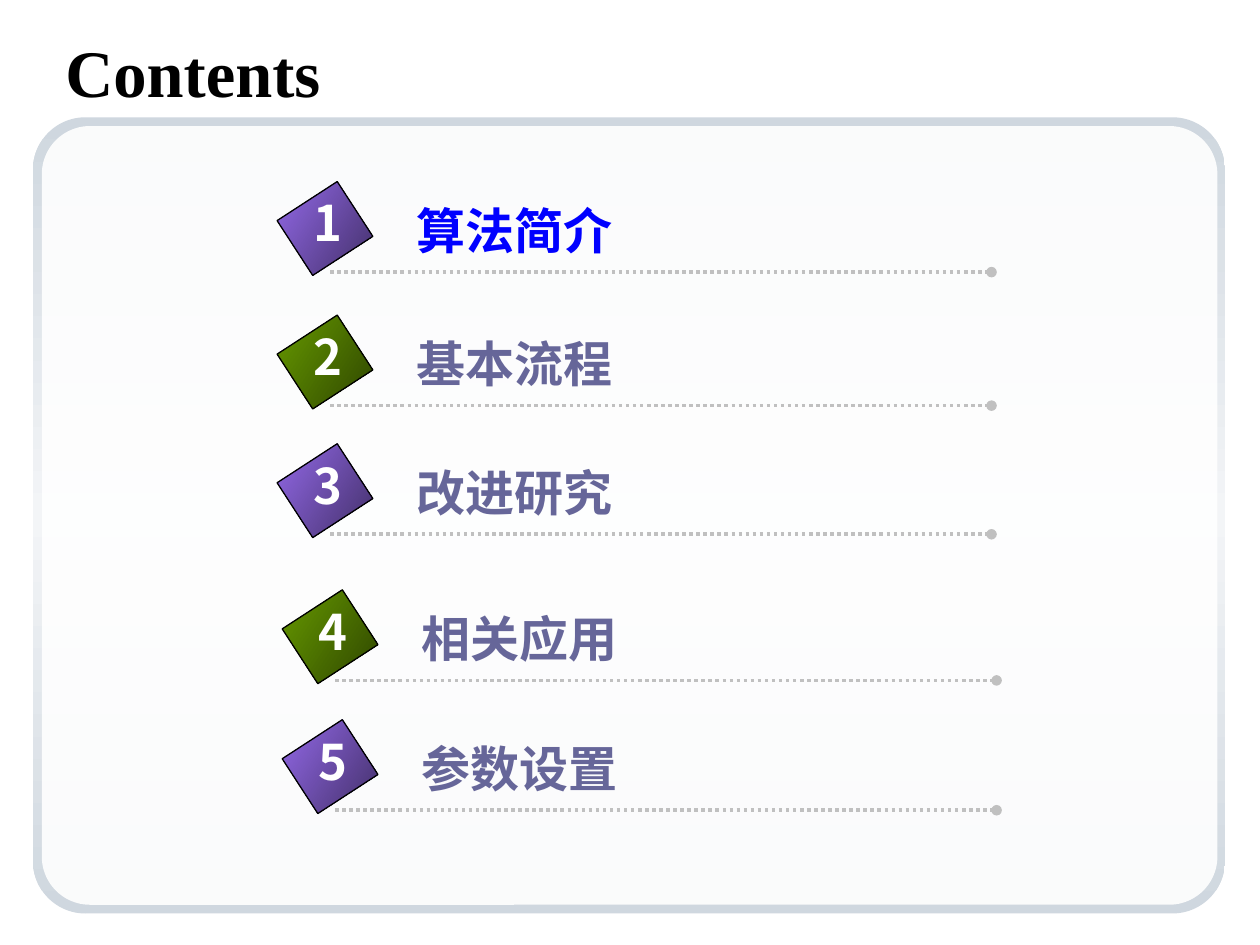
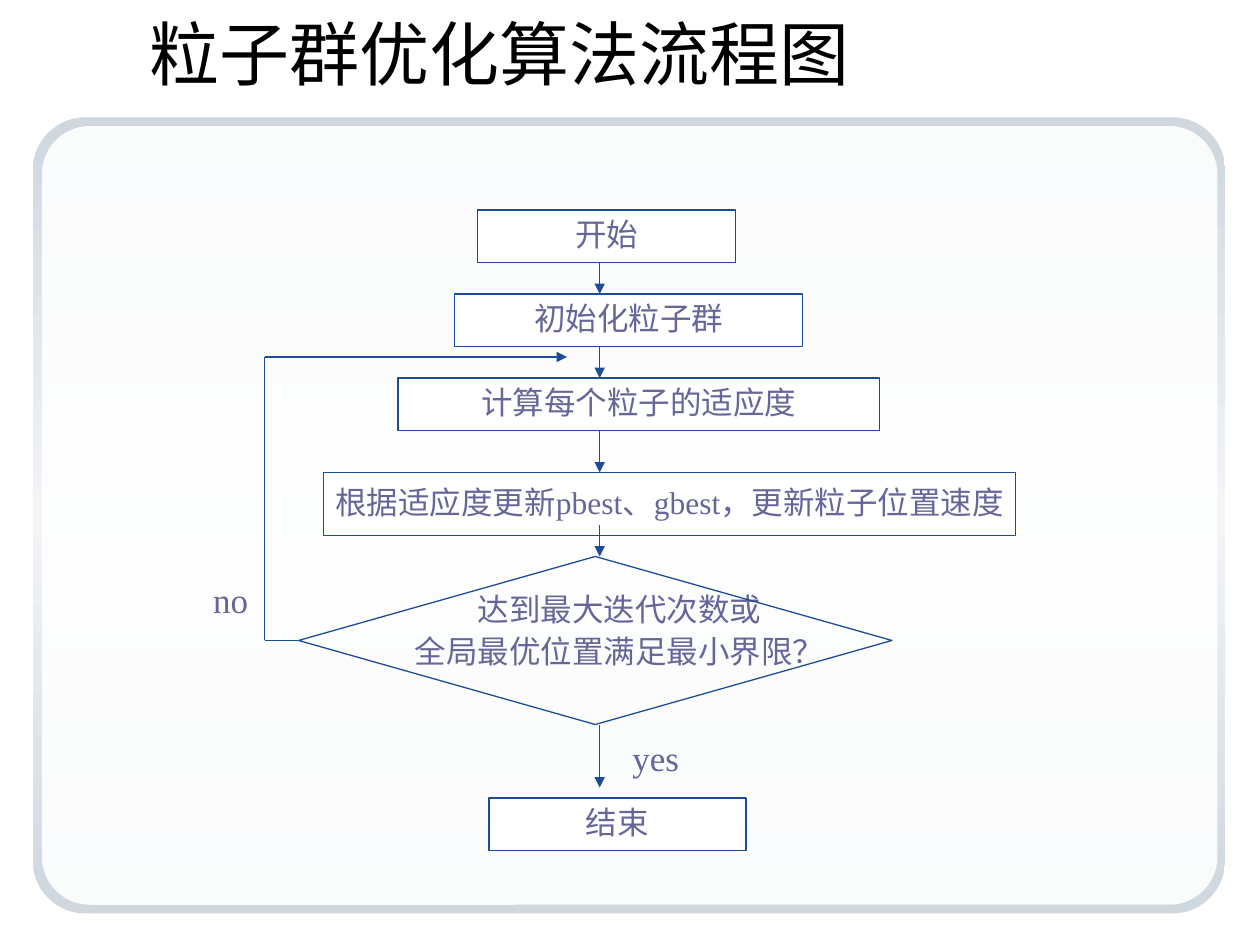
from dataclasses import dataclass

from lxml.etree import SubElement
from pptx import Presentation
from pptx.dml.color import RGBColor
from pptx.enum.dml import MSO_LINE
from pptx.enum.shapes import MSO_CONNECTOR, MSO_SHAPE
from pptx.enum.text import MSO_ANCHOR, MSO_AUTO_SIZE, PP_ALIGN
from pptx.oxml import parse_xml
from pptx.oxml.ns import nsdecls, qn
from pptx.util import Pt


@dataclass(frozen=True)
class Theme:
    black: str = "000000"
    white: str = "FFFFFF"
    slate: str = "666699"
    current: str = "0000FF"
    flow_line: str = "1C4D94"
    dots: str = "C0C0C0"
    frame: tuple = ("CFD7DF", "F3F5F7", "CFD7DF")
    purple: tuple = ("9369E7", "43306A")
    green: tuple = ("669900", "2F4600")
    serif: str = "Times New Roman"
    sans: str = "Arial"
    chinese: str = "Noto Sans CJK SC"
    contents_title: int = 38
    chart_title: int = 40
    entry: int = 28
    step: int = 18
    answer: int = 20
    thin: float = 0.75
    dotted: float = 2


THEME = Theme()

CONTENTS = [
    (188.6, 155.5, "算法简介"),
    (188.6, 231.8, "基本流程"),
    (188.6, 305.3, "改进研究"),
    (191.5, 388.8, "相关应用"),
    (191.5, 463, "参数设置"),
]

STEPS = [
    ("开始", 272.9, 120, 147.6, 30),
    ("初始化粒子群", 259.9, 168, 198.7, 30),
    ("计算每个粒子的适应度", 227.5, 216, 275, 30),
    ("根据适应度更新pbest、gbest，更新粒子位置速度", 185, 270, 395.3, 36),
    ("结束", 279.4, 456, 146.9, 30),
]

AXIS = 342.7
ARROWS = [(150, 168), (198, 216), (246, 270), (300, 318), (414, 450)]


def color(value):
    return RGBColor.from_string(value)


def points(*lengths):
    return [Pt(length) for length in lengths]


def add_text(paragraph, text, size, tone, font, bold=False):
    run = paragraph.add_run()
    run.text = text
    run.font.size = Pt(size)
    run.font.bold = bold
    run.font.color.rgb = color(tone)
    run.font.name = font
    SubElement(run.font._element, qn("a:ea"), typeface=THEME.chinese)


def add_preset(slide, preset, box, fill=None, line=None):
    shape = slide.shapes.add_shape(preset, *points(*box))
    shape.shadow.inherit = False
    if fill:
        shape.fill.solid()
        shape.fill.fore_color.rgb = color(fill)
    else:
        shape.fill.background()
    if line:
        shape.line.color.rgb = color(line)
        shape.line.width = Pt(THEME.thin)
    else:
        shape.line.fill.background()
    return shape


def fill_gradient(shape, tones, angle):
    step = 100000 // (len(tones) - 1)
    stops = "".join(
        f'<a:gs pos="{index * step}"><a:srgbClr val="{tone}"/></a:gs>'
        for index, tone in enumerate(tones)
    )
    gradient = parse_xml(
        f'<a:gradFill {nsdecls("a")} rotWithShape="0"><a:gsLst>{stops}</a:gsLst>'
        f'<a:lin ang="{angle * 60000}" scaled="0"/></a:gradFill>'
    )
    properties = shape.element.spPr
    properties.replace(properties.find(qn("a:noFill")), gradient)


def add_line(slide, start, end, tone, width=THEME.thin, tail=None):
    connector = slide.shapes.add_connector(
        MSO_CONNECTOR.STRAIGHT, *points(*start, *end)
    )
    connector.line.color.rgb = color(tone)
    connector.line.width = Pt(width)
    if tail:
        SubElement(connector.line._get_or_add_ln(), qn("a:tailEnd"), type=tail)
    SubElement(connector.element.spPr, qn("a:effectLst"))
    return connector


def add_label(slide, box, lines, size, tone, font, bold=False,
              alignment=PP_ALIGN.CENTER, spacing=0.9, wrap=False):
    frame = slide.shapes.add_textbox(*points(*box)).text_frame
    frame.word_wrap = wrap
    frame.auto_size = MSO_AUTO_SIZE.SHAPE_TO_FIT_TEXT
    for index, line in enumerate(lines):
        paragraph = frame.add_paragraph() if index else frame.paragraphs[0]
        paragraph.alignment = alignment
        paragraph.line_spacing = spacing
        if index:
            paragraph.space_before = Pt(4.5)
        add_text(paragraph, line, size, tone, font, bold)


def set_title(slide, text, box, size, font, bold=False):
    title = slide.shapes.title
    title.left, title.top, title.width, title.height = points(*box)
    frame = title.text_frame
    frame.auto_size = MSO_AUTO_SIZE.NONE
    frame.vertical_anchor = MSO_ANCHOR.MIDDLE
    paragraph = frame.paragraphs[0]
    paragraph.alignment = PP_ALIGN.LEFT
    add_text(paragraph, text, size, THEME.black, font, bold)


def add_panel_to_layout(slide):
    frame = add_preset(slide, MSO_SHAPE.ROUNDED_RECTANGLE, (18.8, 67, 681.2, 455))
    frame.adjustments[0] = 0.066
    fill_gradient(frame, THEME.frame, 90)
    panel = add_preset(
        slide, MSO_SHAPE.ROUNDED_RECTANGLE, (23.9, 72, 671.8, 445), THEME.white
    )
    panel.adjustments[0] = 0.062
    tone = panel.element.spPr.find(qn("a:solidFill"))[0]
    SubElement(tone, qn("a:alpha"), val="90000")
    for shape in (frame, panel):
        slide.slide_layout.shapes.element.append(shape.element)


def add_entry(slide, number, left, baseline, text):
    rule = add_line(slide, (left, baseline), (left + 378, baseline),
                    THEME.dots, THEME.dotted, "oval")
    rule.line.dash_style = MSO_LINE.ROUND_DOT
    tile = add_preset(slide, MSO_SHAPE.RECTANGLE,
                      (left - 21.6, baseline - 45.4, 37.4, 41), line=THEME.black)
    fill_gradient(tile, THEME.purple if number % 2 else THEME.green, 33)
    tile.rotation = 57
    tone = THEME.current if number == 1 else THEME.slate
    add_label(slide, (left + 42.5, baseline - 44.5, 140, 41), [text], THEME.entry,
              tone, THEME.chinese, True, PP_ALIGN.LEFT, 1)
    add_label(slide, (left - 16.6, baseline - 48.8, 31, 41), [str(number)],
              THEME.entry, THEME.white, THEME.chinese, True, spacing=1)


def add_step(slide, text, *box):
    shape = add_preset(slide, MSO_SHAPE.RECTANGLE, box, THEME.white, THEME.flow_line)
    frame = shape.text_frame
    frame.word_wrap = False
    frame.vertical_anchor = MSO_ANCHOR.MIDDLE
    paragraph = frame.paragraphs[0]
    paragraph.alignment = PP_ALIGN.CENTER
    paragraph.line_spacing = 0.9
    add_text(paragraph, text, THEME.step, THEME.slate, THEME.serif)


def add_decision(slide):
    add_label(slide, (229.7, 336.2, 248.4, 51),
              ["达到最大迭代次数或", "全局最优位置满足最小界限？"],
              THEME.step, THEME.slate, THEME.serif)
    add_preset(slide, MSO_SHAPE.DIAMOND, (170.6, 318, 339.1, 96),
               line=THEME.flow_line)


def add_loop(slide):
    left, top, bottom = 151.2, 204, 366
    add_line(slide, (left, top), (324, top), THEME.flow_line, tail="triangle")
    add_line(slide, (left, top), (left, bottom), THEME.flow_line)
    add_line(slide, (left, bottom), (170.6, bottom), THEME.flow_line)


def build_contents(slide):
    set_title(slide, "Contents", (30.2, 18, 671.8, 44.6),
              THEME.contents_title, THEME.serif, True)
    for number, entry in enumerate(CONTENTS, start=1):
        add_entry(slide, number, *entry)


def build_flowchart(slide):
    set_title(slide, "粒子群优化算法流程图", (78.5, 18, 612.7, 23.8),
              THEME.chart_title, THEME.sans)
    for step in STEPS:
        add_step(slide, *step)
    for start, end in ARROWS:
        add_line(slide, (AXIS, start), (AXIS, end), THEME.flow_line, tail="triangle")
    add_label(slide, (114.5, 329.8, 34.6, 28.8), ["no"],
              THEME.answer, THEME.slate, THEME.serif)
    add_label(slide, (349.2, 419.8, 51, 28.8), ["yes"],
              THEME.answer, THEME.slate, THEME.serif, wrap=True)
    add_decision(slide)
    add_loop(slide)


def main():
    presentation = Presentation()
    presentation.slide_width, presentation.slide_height = points(720, 540)
    layout = presentation.slide_layouts[5]
    contents = presentation.slides.add_slide(layout)
    add_panel_to_layout(contents)
    build_contents(contents)
    build_flowchart(presentation.slides.add_slide(layout))
    presentation.save("out.pptx")


if __name__ == "__main__":
    main()
